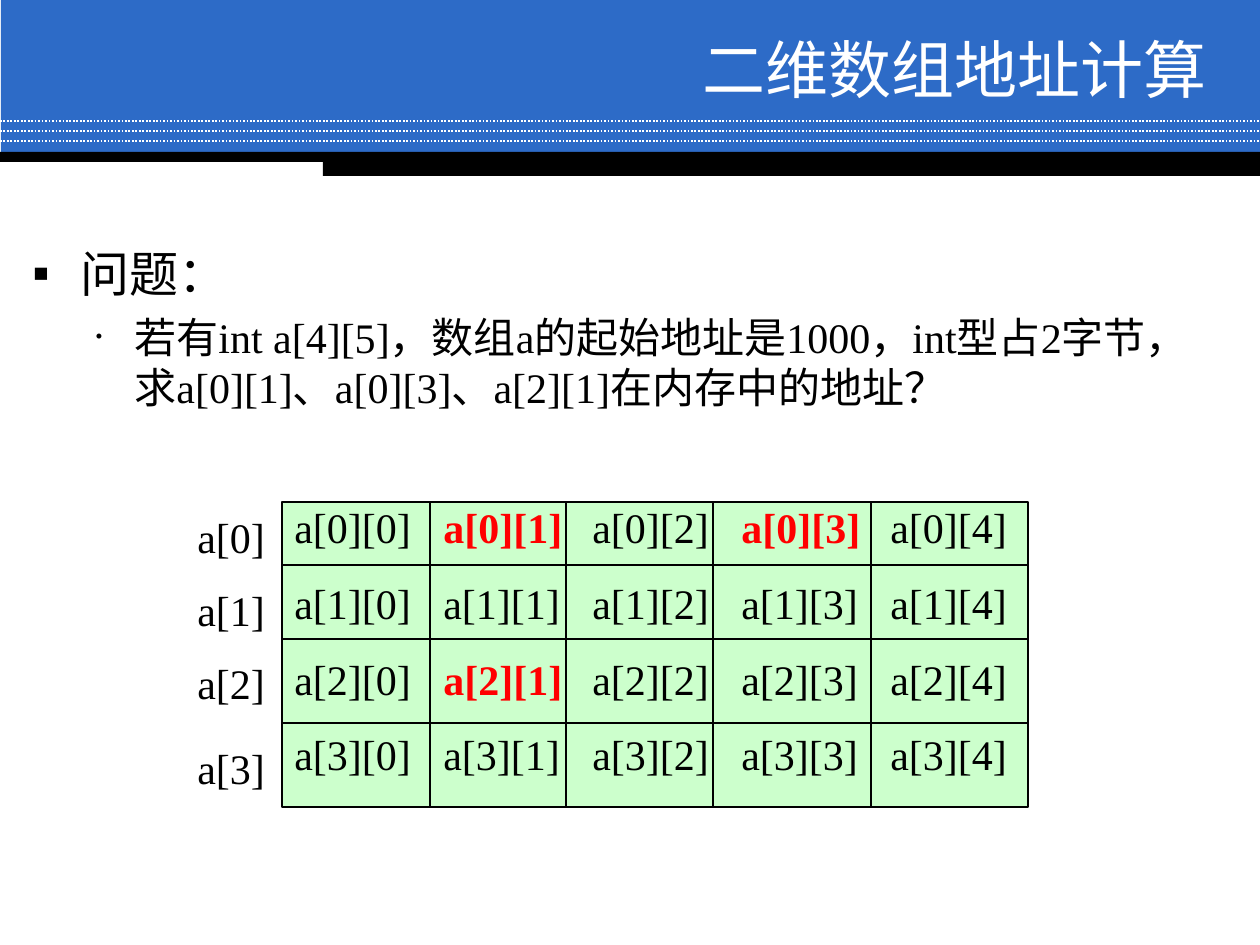
from lxml import etree
from pptx import Presentation
from pptx.dml.color import RGBColor as RGB
from pptx.enum.dml import MSO_LINE as Dash
from pptx.enum.shapes import MSO_CONNECTOR as Conn, MSO_SHAPE as Kind
from pptx.enum.text import MSO_ANCHOR as Anchor, PP_ALIGN as Align
from pptx.oxml.ns import qn
from pptx.util import Emu, Pt

HUES = {"blue": "2D6BC7", "white": "FFFFFF", "black": "000000",
        "green": "CCFFCC", "red": "FF0000"}
HAN, LATIN = "Noto Sans CJK SC", "Times New Roman"


def px(n):
    return Emu(round(n * 914400 / 126))


def hue(name):
    return RGB.from_string(HUES[name])


class Deck:
    def __init__(self, wide, high):
        self.prs = Presentation()
        self.prs.slide_width, self.prs.slide_height = px(wide), px(high)
        self.slide = self.prs.slides.add_slide(self.prs.slide_layouts[6])

    def rect(self, x, y, w, h, fill, edge=None):
        box = self.slide.shapes.add_shape(Kind.RECTANGLE, *map(px, (x, y, w, h)))
        box.shadow.inherit = False
        box.fill.solid()
        box.fill.fore_color.rgb = hue(fill)
        if edge:
            box.line.color.rgb = hue(edge)
            box.line.width = Pt(1)
        else:
            box.line.fill.background()
        return box

    def line(self, x1, y1, x2, y2, color, dash=None):
        rule = self.slide.shapes.add_connector(
            Conn.STRAIGHT, *map(px, (x1, y1, x2, y2)))
        rule.line.color.rgb = hue(color)
        rule.line.width = Pt(1)
        if dash:
            rule.line.dash_style = dash
        etree.SubElement(rule._element.spPr, qn("a:effectLst"))

    def text(self, x, y, w, h, anchor=Anchor.TOP):
        frame = self.slide.shapes.add_textbox(*map(px, (x, y, w, h))).text_frame
        frame.word_wrap = True
        frame.vertical_anchor = anchor
        return frame

    def para(self, frame, size, words="", color="black", font=LATIN,
             align=Align.LEFT, space=None, first=False):
        par = frame.paragraphs[0] if first else frame.add_paragraph()
        par.text = words
        par.alignment = align
        par.line_spacing = space
        par.font.size = Pt(size)
        par.font.name = font
        par.font.color.rgb = hue(color)
        base = par._p.pPr.find(qn("a:defRPr"))
        etree.SubElement(base, qn("a:ea"), typeface=HAN)
        return par

    def bullet(self, par, char, left, hang, scale=100):
        props = par._p.pPr
        props.set("marL", str(px(left)))
        props.set("indent", str(-px(hang)))
        base = props.find(qn("a:defRPr"))
        for tag, key, val in (("a:buSzPct", "val", str(scale * 1000)),
                              ("a:buFont", "typeface", LATIN),
                              ("a:buChar", "char", char)):
            base.addprevious(etree.Element(qn(tag), {key: val}))

    def tabs(self, par, step, count):
        stops = etree.Element(qn("a:tabLst"))
        for n in range(1, count + 1):
            etree.SubElement(stops, qn("a:tab"), pos=str(px(step * n)), algn="l")
        par._p.pPr.find(qn("a:defRPr")).addprevious(stops)


def main():
    deck = Deck(1260, 945)

    # Header band
    deck.rect(1, 0, 1259, 155, "blue")
    for y in (121, 131, 141):
        deck.line(0, y, 1260, y, "white", Dash.ROUND_DOT)
    deck.rect(0, 152, 1260, 10, "black")
    deck.rect(323, 156, 937, 20, "black")
    head = deck.text(347, 32, 872, 73, Anchor.MIDDLE)
    deck.para(head, 36, "二维数组地址计算", "white", HAN, Align.RIGHT, first=True)

    # Question
    body = deck.text(20, 237, 1216, 207)
    ask = deck.para(body, 28, "问题：", space=Pt(34), first=True)
    deck.bullet(ask, "▪", 48, 48)
    task = deck.para(body, 24, "若有int a[4][5]，数组a的起始地址是1000，int型占2字节，"
                     "求a[0][1]、a[0][3]、a[2][1]在内存中的地址？", space=Pt(28.6))
    task.space_before = Pt(5)
    deck.bullet(task, "•", 102, 39, 50)

    # Array cells: the first line stays single so that each row sits in its cell
    left, top, wide, high = 282, 502, 746, 305
    grid = deck.rect(left, top, wide, high, "green", "black").text_frame
    grid.word_wrap = True
    grid.vertical_anchor = Anchor.TOP
    grid.margin_top = grid.margin_bottom = 0
    marked = {(0, 1), (0, 3), (2, 1)}
    for row in range(4):
        par = deck.para(grid, 24, space=1.5 if row else 1.0, first=row == 0)
        deck.tabs(par, 149, 4)
        for col in range(5):
            run = par.add_run()
            run.text = f"a[{row}][{col}]" + ("\t" if col < 4 else "")
            if (row, col) in marked:
                run.font.bold = True
                run.font.color.rgb = hue("red")

    # Grid rules
    for y in (565, 639, 723):
        deck.line(left, y, left + wide, y, "black")
    for x in (430, 566, 713, 871):
        deck.line(x, top, x, top + high, "black")

    # Row labels
    for row, y in enumerate((505, 578, 651, 736)):
        label = deck.text(185, y, 105, 63)
        deck.para(label, 24, f"a[{row}]", first=True)

    deck.prs.save("out.pptx")


if __name__ == "__main__":
    main()
